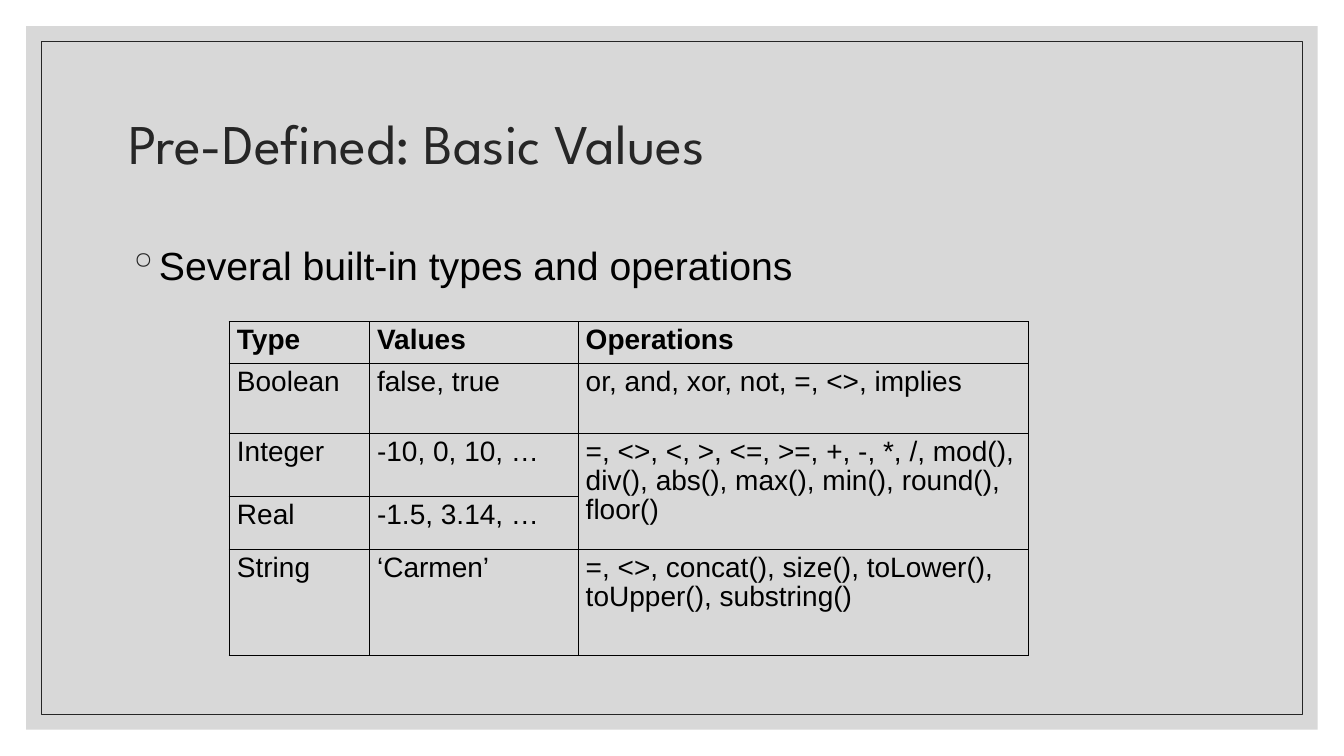
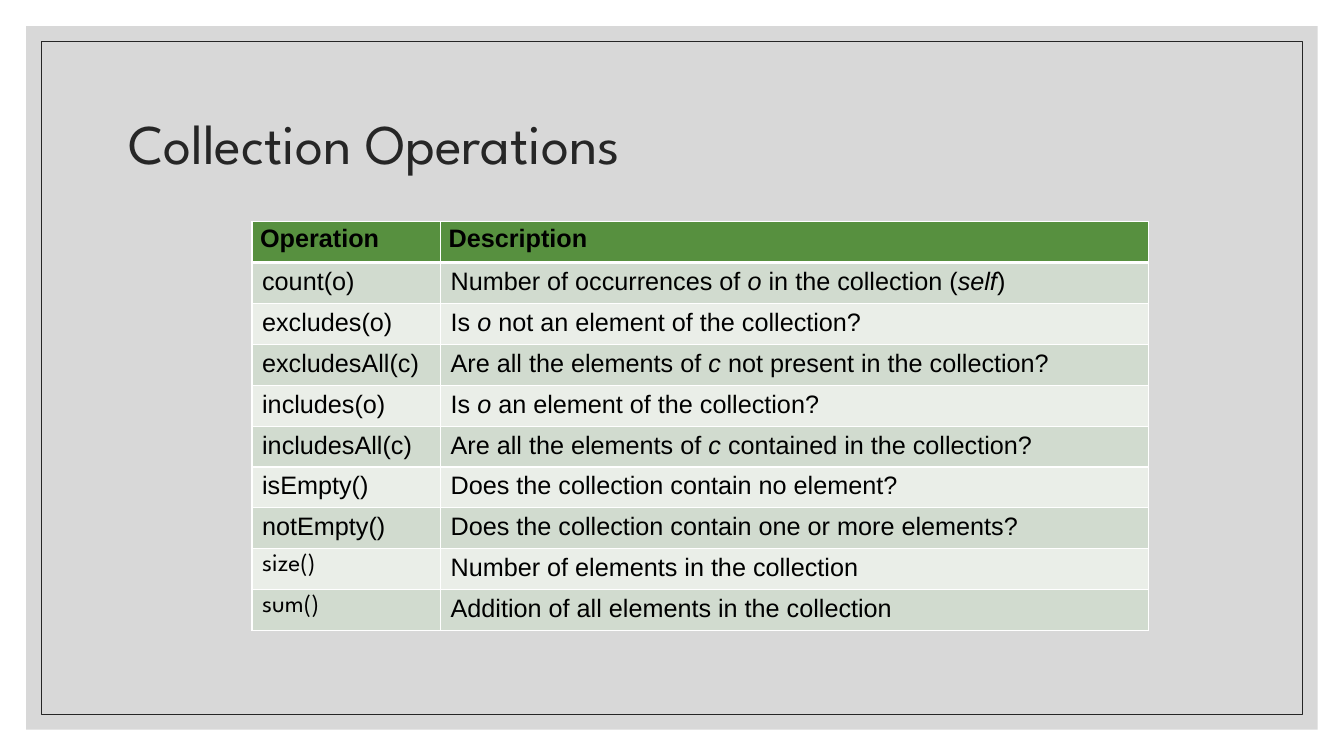
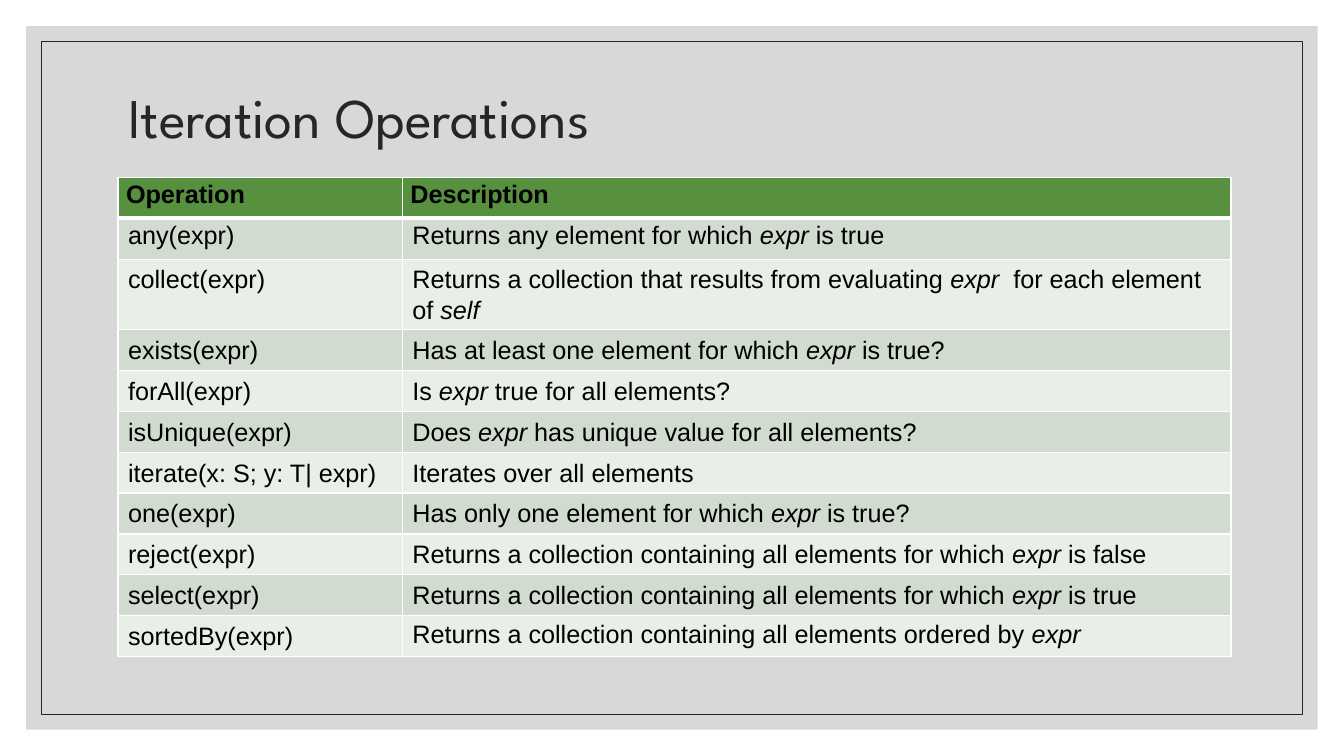
from lxml import etree
from pptx import Presentation
from pptx.dml.color import RGBColor
from pptx.enum.shapes import MSO_SHAPE
from pptx.enum.text import MSO_ANCHOR, PP_ALIGN
from pptx.oxml.ns import qn
from pptx.util import Inches, Pt

RECT = MSO_SHAPE.RECTANGLE
LEFT, MIDDLE = PP_ALIGN.LEFT, MSO_ANCHOR.MIDDLE
W, H = 13.33, 7.5
DISPLAY, BODY = "League Spartan", "Arial"
INK, BLACK, WHITE, GREY = "262626", "000000", "FFFFFF", "BFBFBF"
HEADER_GREY, HEADER_GREEN = "D9D9D9", "57903F"
BANDS = ("D1DBCF", "EAEEE8")
MARGIN, CONTENT_W = 1.17, 11
TITLE_TOP, TITLE_H = 0.7, 1.5
ROW_H = Pt(29.2)
TIGHT, LOOSE = 0.93, 1.07

BULLET = "Several built-in types and operations"
TYPES = [
    ("Type", "Values", "Operations"),
    ("Boolean", "false, true", "or, and, xor, not, =, <>, implies"),
    ("Integer", "-10, 0, 10, …",
     "=, <>, <, >, <=, >=, +, -, *, /, mod(), div(), abs(), max(), min(), round(), floor()"),
    ("Real", "-1.5, 3.14, …", None),
    ("String", "‘Carmen’", "=, <>, concat(), size(), toLower(), toUpper(), substring()"),
]
TYPE_ROWS = [0.39, 0.7, 0.62, 0.53, 1.05]

HEADER = ("Operation", "Description")
COLLECTION = [
    HEADER,
    ("count(o)", "Number of occurrences of _o_ in the collection (_self_)"),
    ("excludes(o)", "Is _o _not an element of the collection?"),
    ("excludesAll(c)", "Are all the elements of_ c_ not present in the collection?"),
    ("includes(o)", "Is_ o_ an element of the collection?"),
    ("includesAll(c)", "Are all the elements of _c_ contained in the collection?"),
    ("isEmpty()", "Does the collection contain no element?"),
    ("notEmpty()", "Does the collection contain one or more elements?"),
    ("size()", "Number of elements in the collection"),
    ("sum()", "Addition of all elements in the collection"),
]
DISPLAY_NAMES = ("size()", "sum()")
ITERATION = [
    HEADER,
    ("any(expr)", "Returns any element for which _expr_ is true"),
    ("collect(expr)",
     "Returns a collection that results from evaluating _expr_  for each element of _self_"),
    ("exists(expr)", "Has at least one element for which _expr_ is true?"),
    ("forAll(expr)", "Is _expr_ true for all elements?"),
    ("isUnique(expr)", "Does _expr_ has unique value for all elements?"),
    ("iterate(x: S; y: T| expr)", "Iterates over all elements"),
    ("one(expr)", "Has only one element for which _expr_ is true?"),
    ("reject(expr)", "Returns a collection containing all elements for which _expr_ is false"),
    ("select(expr)", "Returns a collection containing all elements for which _expr_ is true"),
    ("sortedBy(expr)", "Returns a collection containing all elements ordered by _expr_"),
]


def rgb(color):
    return RGBColor.from_string(color)


def box(*lengths):
    return [Inches(v) for v in lengths]


def sub(parent, tag, **attrs):
    return etree.SubElement(parent, qn(tag), attrs)


def write(tf, text, size=18, font=BODY, color=BLACK, bold=False, spacing=None, before=None):
    tf.word_wrap = True
    p = tf.paragraphs[0]
    p.alignment = LEFT
    p.line_spacing = spacing
    if before:
        p.space_before = Pt(before)
    for i, part in enumerate(text.split("_")):
        if part:
            r = p.add_run()
            r.text = part
            r.font.size, r.font.name = Pt(size), font
            r.font.bold, r.font.italic = bold, i % 2 == 1
            r.font.color.rgb = rgb(color)
    return p


def add_frame(s, layout):
    for i, inset in enumerate((0.26, 0.41)):
        sp = s.shapes.add_shape(RECT, *box(inset, inset, W - 2 * inset, H - 2 * inset))
        sp.shadow.inherit = False
        if i == 0:
            sp.fill.solid()
            sp.fill.fore_color.rgb = rgb(GREY)
            sub(sp.fill._xPr.find(".//" + qn("a:srgbClr")), "a:alpha", val="60000")
            sp.line.fill.background()
        else:
            sp.fill.background()
            sp.line.color.rgb = rgb(INK)
            sp.line.width = Pt(0.5)
        layout.shapes.element.insert(2 + i, sp.element)


def add_title_slide(prs, title, height=TITLE_H):
    s = prs.slides.add_slide(prs.slide_layouts[5])
    sp = s.shapes.title
    sp.left, sp.top, sp.width, sp.height = box(MARGIN, TITLE_TOP, CONTENT_W, height)
    sp.text_frame.vertical_anchor = MIDDLE
    write(sp.text_frame, title, size=40, font=DISPLAY, color=INK, spacing=0.9)
    return s


def set_borders(cell, color, widths):
    tcPr = cell._tc.get_or_add_tcPr()
    for side, width in zip("LRTB", widths):
        ln = sub(tcPr, "a:ln" + side, w=str(int(Pt(width))))
        sub(sub(ln, "a:solidFill"), "a:srgbClr", val=color)


def set_fill(cell, color):
    if color:
        cell.fill.solid()
        cell.fill.fore_color.rgb = rgb(color)
    else:
        cell.fill.background()


def add_grid(s, rows, left, top, cols, heights):
    table = s.shapes.add_table(len(rows), len(cols), Inches(left), Inches(top),
                               Inches(sum(cols)), sum(heights)).table
    for column, width in zip(table.columns, cols):
        column.width = Inches(width)
    for row, height in zip(table.rows, heights):
        row.height = height
    return table


def tighten(cell):
    cell.margin_left = cell.margin_right = Inches(0.08)


def add_type_table(s):
    table = add_grid(s, TYPES, 2.27, 3.19, [1.39, 2.07, 4.47], box(*TYPE_ROWS))
    for i, row in enumerate(TYPES):
        for j, text in enumerate(row):
            cell = table.cell(i, j)
            tighten(cell)
            set_borders(cell, BLACK, [0.23] * 4)
            set_fill(cell, HEADER_GREY if i == 0 else None)
            if text:
                write(cell.text_frame, text, size=20, bold=i == 0, spacing=TIGHT)
    table.cell(2, 2).merge(table.cell(3, 2))


def add_operation_table(s, rows, left, top, cols, spacing_at):
    table = add_grid(s, rows, left, top, cols, [ROW_H] * len(rows))
    for i, row in enumerate(rows):
        for j, text in enumerate(row):
            cell = table.cell(i, j)
            header = i == 0
            if header:
                tighten(cell)
            set_borders(cell, WHITE, (1, 1, 3 if i == 1 else 1, 3 if header else 1))
            set_fill(cell, HEADER_GREEN if header else BANDS[(i - 1) % 2])
            write(cell.text_frame, text, bold=header,
                  font=DISPLAY if text in DISPLAY_NAMES else BODY,
                  spacing=TIGHT if header else spacing_at(i, j))


def iteration_spacing(i, j):
    if i == 1:
        return TIGHT
    return None if (i, j) == (len(ITERATION) - 1, 1) else LOOSE


def add_bullet(s):
    tf = s.shapes.add_textbox(*box(MARGIN, 2.3, CONTENT_W, 0.75)).text_frame
    p = write(tf, BULLET, size=28, spacing=1.1, before=9)
    pPr = p._p.get_or_add_pPr()
    indent = int(Inches(0.2))
    pPr.set("marL", str(indent))
    pPr.set("indent", str(-indent))
    sub(sub(pPr, "a:buClr"), "a:srgbClr", val=INK)
    sub(pPr, "a:buChar", char="◦")


def main():
    prs = Presentation()
    prs.slide_width, prs.slide_height = box(W, H)

    s = add_title_slide(prs, "Pre-Defined: Basic Values")
    add_frame(s, prs.slide_layouts[5])
    add_bullet(s)
    add_type_table(s)

    s = add_title_slide(prs, "Collection Operations")
    add_operation_table(s, COLLECTION, 2.5, 2.2, [1.87, 7.02], lambda i, j: None)

    s = add_title_slide(prs, "Iteration Operations", height=0.98)
    add_operation_table(s, ITERATION, MARGIN, 1.76, [2.82, 8.22], iteration_spacing)

    prs.save("out.pptx")


if __name__ == "__main__":
    main()
